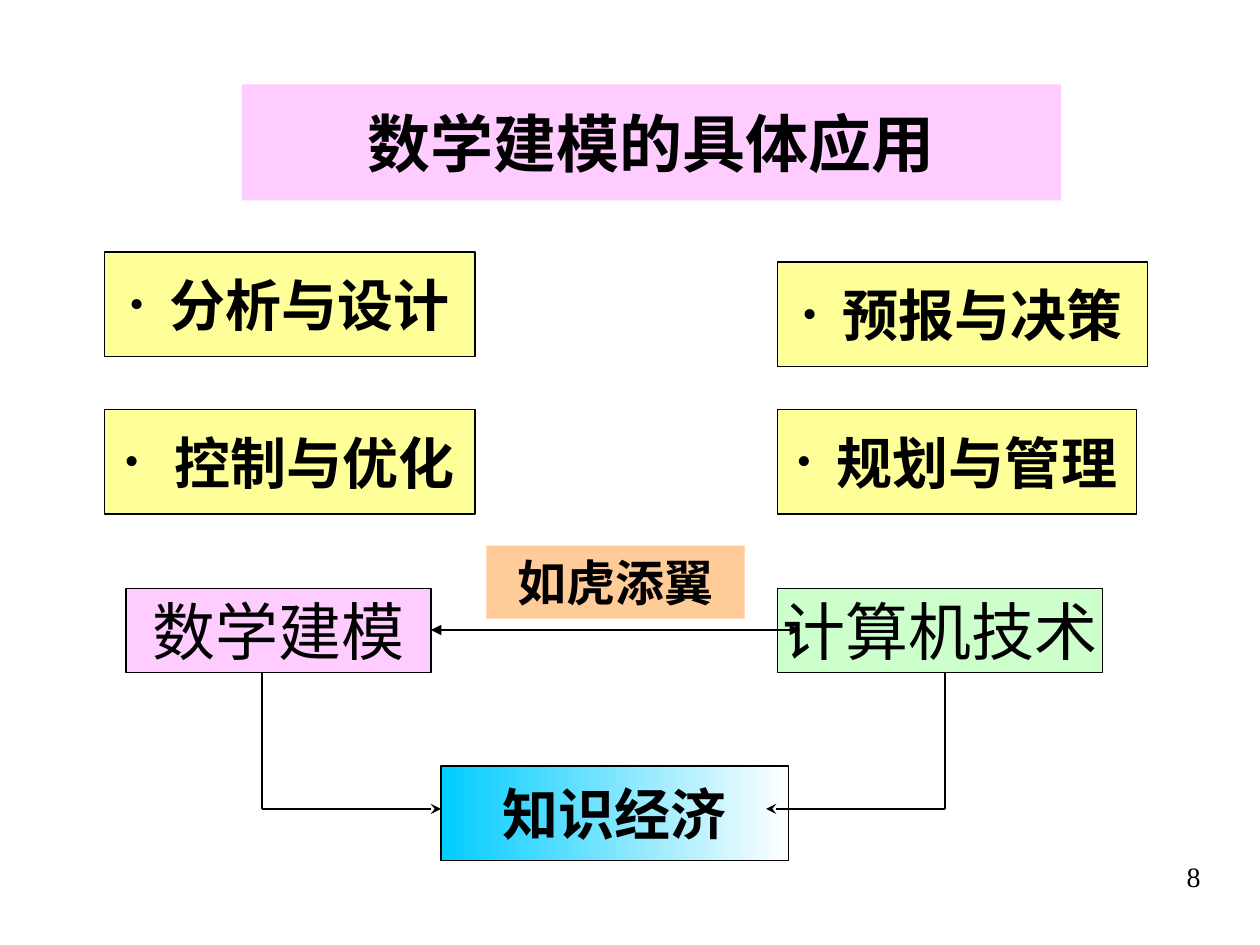
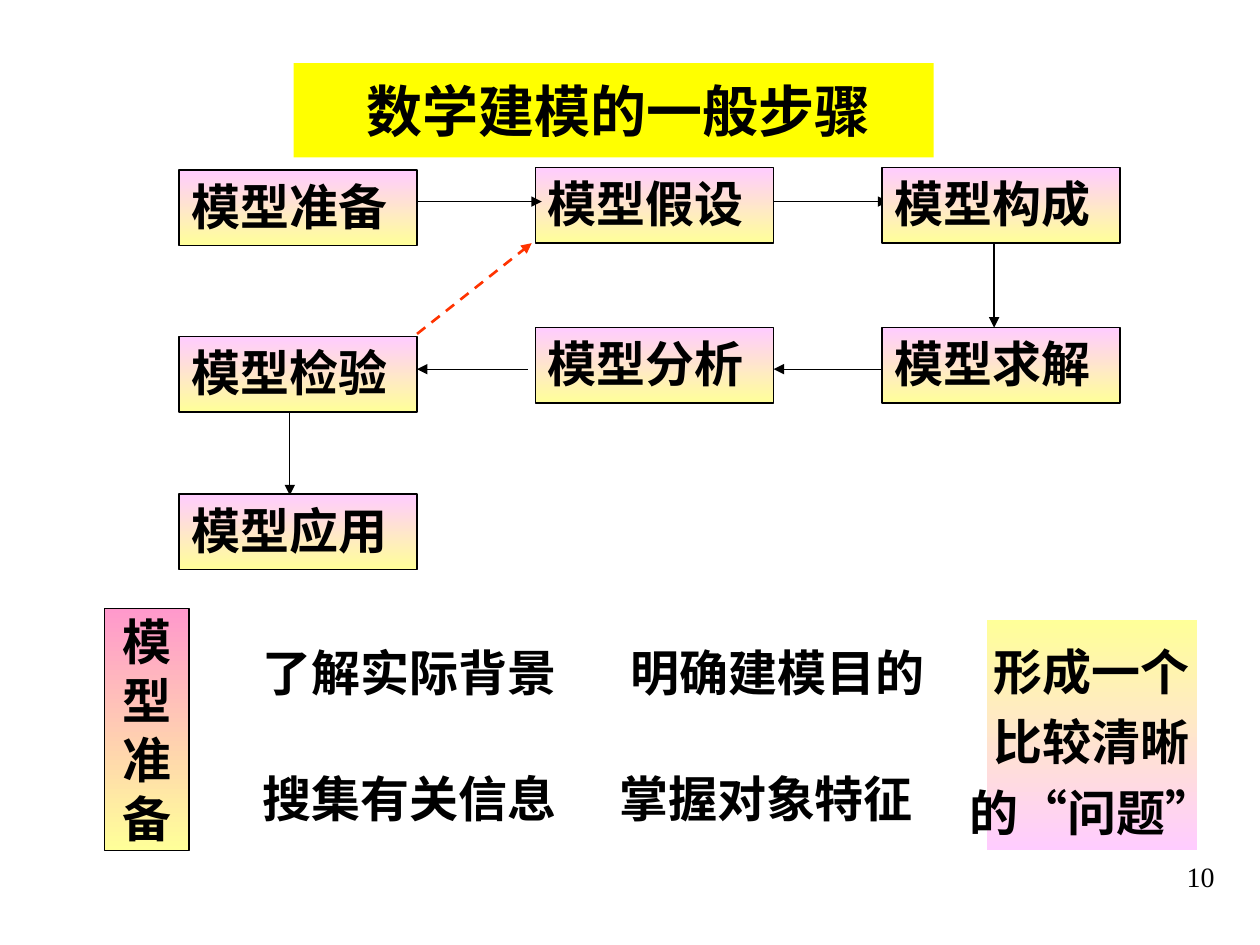
from lxml import etree
from pptx import Presentation
from pptx.dml.color import RGBColor
from pptx.enum.dml import MSO_LINE
from pptx.enum.shapes import MSO_CONNECTOR, MSO_SHAPE
from pptx.enum.text import MSO_ANCHOR, MSO_AUTO_SIZE, PP_ALIGN
from pptx.oxml.ns import qn
from pptx.util import Inches, Pt

RECTANGLE = MSO_SHAPE.RECTANGLE
STRAIGHT = MSO_CONNECTOR.STRAIGHT
DASH = MSO_LINE.DASH
TOP, MIDDLE = MSO_ANCHOR.TOP, MSO_ANCHOR.MIDDLE
LEFT, CENTER, JUSTIFY = PP_ALIGN.LEFT, PP_ALIGN.CENTER, PP_ALIGN.JUSTIFY

COLORS = {
    "black": "000000",
    "pink": "FFCCFF",
    "rose": "FF99CC",
    "cream": "FFFF99",
    "yellow": "FFFF00",
    "mint": "CCFFCC",
    "peach": "FFCC99",
    "sky": "00CCFF",
    "white": "FFFFFF",
    "red": "FF3300",
}
SANS = "Noto Sans CJK SC"
SERIF = "Times New Roman"
TITLE_ONLY = 5
DOWNWARD = 270
RIGHTWARD = 0


def rgb(name):
    return RGBColor.from_string(COLORS[name])


def inches(*lengths):
    return [Inches(length) for length in lengths]


def write(shape, lines, size, bold=True, font=SERIF, align=CENTER,
          anchor=MIDDLE, wrap=False, spacing=None):
    frame = shape.text_frame
    frame.word_wrap = wrap
    frame.auto_size = MSO_AUTO_SIZE.NONE
    frame.vertical_anchor = anchor
    for index, line in enumerate(lines):
        paragraph = frame.add_paragraph() if index else frame.paragraphs[0]
        paragraph.alignment = align
        if spacing:
            paragraph.line_spacing = spacing
        run = paragraph.add_run()
        run.text = line
        run.font.size = Pt(size)
        run.font.bold = bold
        run.font.name = font
        run.font.color.rgb = rgb("black")
        east_asian = etree.SubElement(run.font._element, qn("a:ea"))
        east_asian.set("typeface", SANS)


def paint(shape, fill, angle=DOWNWARD):
    if isinstance(fill, tuple):
        shape.fill.gradient()
        shape.fill.gradient_angle = angle
        for stop, name in zip(shape.fill.gradient_stops, fill):
            stop.color.rgb = rgb(name)
    else:
        shape.fill.solid()
        shape.fill.fore_color.rgb = rgb(fill)


def add_box(slide, box, fill, lines, size, outlined=True, angle=DOWNWARD, **style):
    shape = slide.shapes.add_shape(RECTANGLE, *inches(*box))
    shape.shadow.inherit = False
    paint(shape, fill, angle)
    if outlined:
        shape.line.color.rgb = rgb("black")
        shape.line.width = Pt(0.75)
    else:
        shape.line.fill.background()
    write(shape, lines, size, **style)
    return shape


def add_line(slide, start, end, head=None, tail=None, color="black", width=0.75, dash=None):
    connector = slide.shapes.add_connector(STRAIGHT, *inches(*start, *end))
    connector.line.color.rgb = rgb(color)
    connector.line.width = Pt(width)
    if dash:
        connector.line.dash_style = dash
    properties = connector._element.spPr
    outline = properties.find(qn("a:ln"))
    for tag, kind in (("a:headEnd", head), ("a:tailEnd", tail)):
        if kind:
            etree.SubElement(outline, qn(tag)).set("type", kind)
    etree.SubElement(properties, qn("a:effectLst"))


def add_bullet(paragraph, indent):
    properties = paragraph._p.get_or_add_pPr()
    properties.set("marL", str(Inches(indent)))
    properties.set("indent", str(-Inches(indent)))
    color = etree.SubElement(properties, qn("a:buClr"))
    etree.SubElement(color, qn("a:srgbClr")).set("val", COLORS["black"])
    etree.SubElement(properties, qn("a:buSzPct")).set("val", "75000")
    etree.SubElement(properties, qn("a:buFont")).set("typeface", SERIF)
    etree.SubElement(properties, qn("a:buChar")).set("char", "•")


def add_titled_slide(presentation, title, box, fill, size, number, left_inset=0.1):
    slide = presentation.slides.add_slide(presentation.slide_layouts[TITLE_ONLY])
    shape = slide.shapes.title
    shape.left, shape.top, shape.width, shape.height = inches(*box)
    paint(shape, fill)
    write(shape, [title], size, font=SANS)
    shape.text_frame.margin_left = Inches(left_inset)
    page_number = slide.shapes.add_textbox(*inches(9.32, 6.77, 0.51, 0.37))
    write(page_number, [str(number)], 16, bold=False, align=LEFT, anchor=TOP)
    return slide


def add_applications(slide, left, top):
    right = left + 5.34
    applications = [
        ("分析与设计", left, top, 2.94, 0.32),
        ("预报与决策", right, top + 0.08, 2.94, 0.32),
        ("控制与优化", left, top + 1.25, 2.94, 0.4),
        ("规划与管理", right, top + 1.25, 2.85, 0.32),
    ]
    for text, x, y, width, indent in applications:
        shape = add_box(slide, (x, y, width, 0.83), "cream", [text], 32)
        add_bullet(shape.text_frame.paragraphs[0], indent)


def add_knowledge_economy(slide, left, top):
    right = left + 5.17
    bottom = top + 0.67
    add_box(slide, (left, top, 2.42, 0.67), "pink", ["数学建模"], 36, bold=False)
    add_box(slide, (right, top, 2.58, 0.67), "mint", ["计算机技术"], 36, bold=False)
    add_box(slide, (left + 2.5, top + 1.41, 2.76, 0.75), ("sky", "white"),
            ["知识经济"], 32, angle=RIGHTWARD)
    for x, target in ((left + 1.08, left + 2.5), (left + 6.5, left + 5.08)):
        corner = (x, top + 1.75)
        add_line(slide, (x, bottom), corner)
        add_line(slide, corner, (target, top + 1.75), tail="stealth")
    add_line(slide, (left + 2.42, top + 0.33), (left + 5.35, top + 0.33),
             head="triangle", tail="triangle")
    add_box(slide, (left + 2.86, top - 0.34, 2.05, 0.58), "peach",
            ["如虎添翼"], 28, outlined=False)


def add_modeling_steps(slide, left, top):
    middle, right = left + 2.83, left + 5.58
    width, height = 1.89, 0.6
    second_row = top + 1.27
    upper, lower = top + 0.27, top + 1.6
    arrows = [
        ((middle + width, upper), (right + 0.05, upper)),
        ((right + 0.89, top + height), (right + 0.89, second_row)),
        ((right, lower), (middle + width, lower)),
        ((middle - 0.06, lower), (left + width, lower)),
        ((left + 0.88, top + 1.95), (left + 0.88, top + 2.6)),
    ]
    for start, end in arrows:
        add_line(slide, start, end, tail="triangle")
    add_line(slide, (left + width, top + 1.32), (left + 2.8, top + height),
             tail="triangle", color="red", width=1.5, dash=DASH)
    steps = [
        ("模型准备", left, top + 0.02),
        ("模型假设", middle, top),
        ("模型构成", right, top),
        ("模型求解", right, second_row),
        ("模型分析", middle, second_row),
        ("模型检验", left, top + 1.34),
        ("模型应用", left, top + 2.59),
    ]
    for text, x, y in steps:
        add_box(slide, (x, y, width, height), ("pink", "cream"), [text], 28,
                align=JUSTIFY, anchor=TOP, wrap=True)
    add_line(slide, (left + width, upper), (middle + 0.05, upper), tail="triangle")


def add_preparation(slide, left, top):
    add_box(slide, (left, top, 0.67, 1.92), ("rose", "cream"), list("模型准备"), 28)
    tasks = [
        ("了解实际背景", 1.17, 0.17),
        ("明确建模目的", 4.09, 0.17),
        ("搜集有关信息", 1.17, 1.17),
        ("掌握对象特征", 4.0, 1.17),
    ]
    for text, x, y in tasks:
        shape = slide.shapes.add_textbox(*inches(left + x, top + y, 2.5, 0.67))
        write(shape, [text], 28, font=SANS)
    add_box(slide, (left + 7, top + 0.09, 1.67, 1.83), ("cream", "pink"),
            ["形成一个", "比较清晰", "的“问题”"], 28, outlined=False, spacing=1.2)


def main():
    presentation = Presentation()
    presentation.slide_width, presentation.slide_height = inches(10, 7.5)

    slide = add_titled_slide(presentation, "数学建模的具体应用",
                             (1.92, 0.67, 6.5, 0.92), "pink", 36, 8)
    add_applications(slide, 0.83, 2)
    add_knowledge_economy(slide, 1, 4.67)

    slide = add_titled_slide(presentation, "数学建模的一般步骤",
                             (2.33, 0.5, 5.08, 0.75), "yellow", 32, 10, left_inset=0.18)
    add_modeling_steps(slide, 1.42, 1.33)
    add_preparation(slide, 0.83, 4.83)

    presentation.save("out.pptx")


if __name__ == "__main__":
    main()
